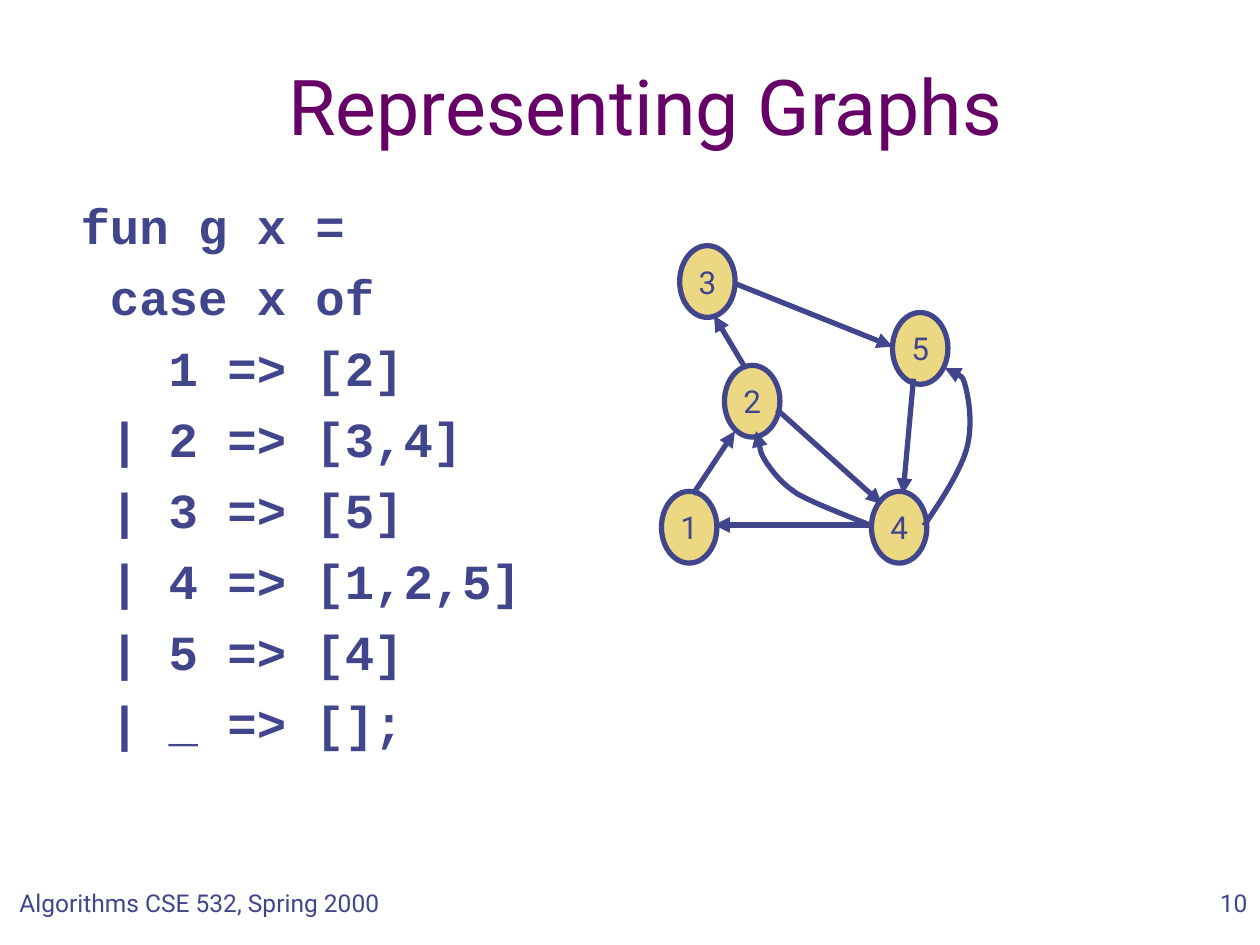
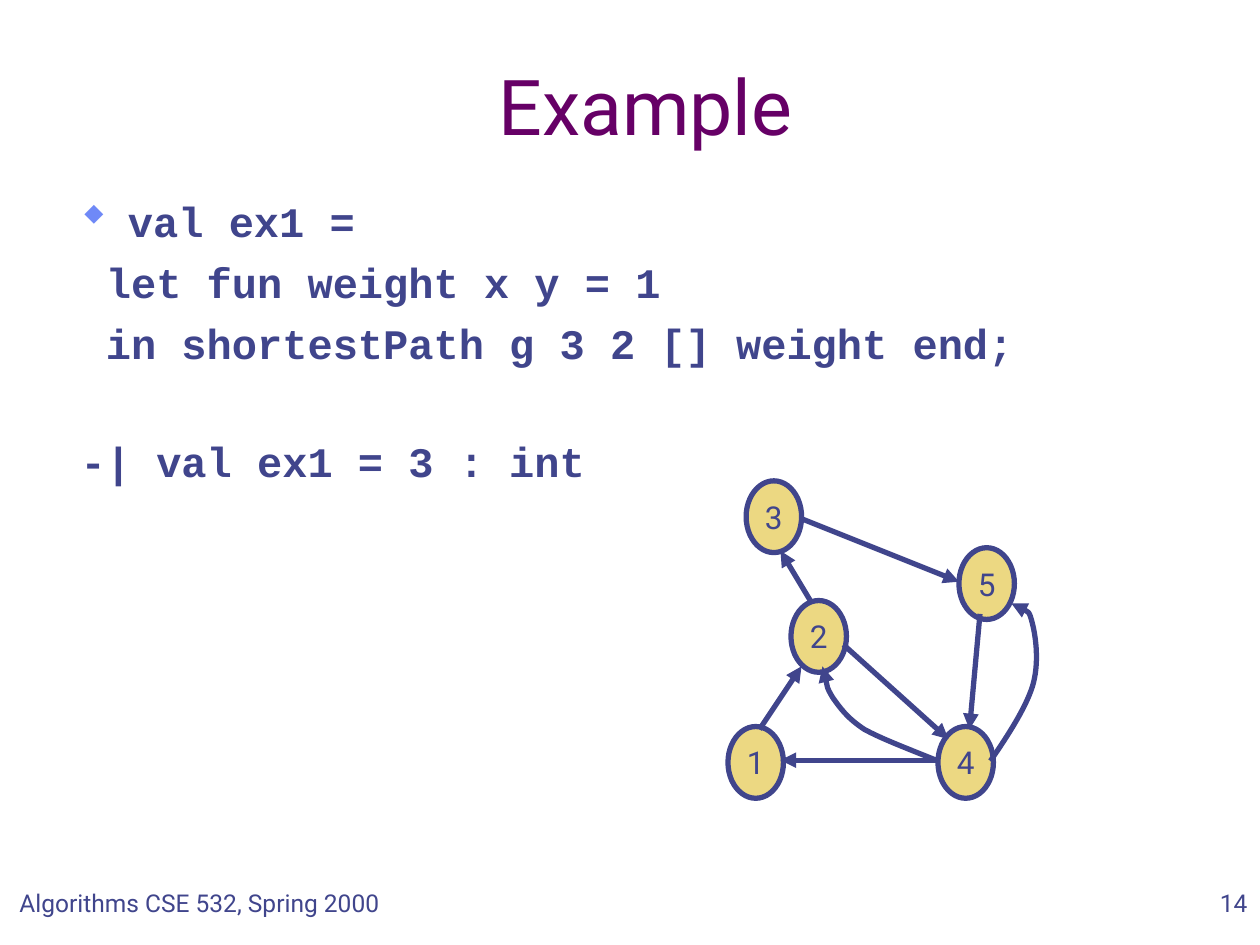
from pptx import Presentation
from pptx.dml.color import RGBColor
from pptx.enum.shapes import MSO_CONNECTOR as Link, MSO_SHAPE as Form
from pptx.enum.text import MSO_ANCHOR as Anchor, MSO_AUTO_SIZE as Fit, PP_ALIGN as Align
from pptx.oxml.ns import qn
from pptx.oxml.xmlchemy import OxmlElement as Tag
from pptx.util import Pt

INK = RGBColor(0x40, 0x45, 0x8C)
PLUM = RGBColor(0x66, 0x00, 0x66)
GOLD = RGBColor(0xEC, 0xD8, 0x82)
SKY = RGBColor(0x6F, 0x89, 0xF7)
SANS, MONO = "Roboto", "Courier New"
COURSE = "Algorithms CSE 532, Spring 2000"

NODE = (31.7, 41)
NODES = {"3": (10.4, 0), "2": (36, 68.4), "1": (0, 140.4),
         "4": (120, 140.4), "5": (132, 38.2)}
EDGES = [
    ((120, 159.6), (30, 159.6)),
    ((18, 142), (42, 106)),
    ((48, 70), (30, 40)),
    ((42, 21.6), (132, 57.6)),
    ((144, 76), (138, 142)),
    ((66, 93.6), (126, 147.6)),
]
CURVES = [
    [(150, 160), (160, 145.5), (170, 130), (174, 117.5), (178, 104.5),
     (176, 89.5), (174, 81.5), (172, 73.5), (167, 71.5), (162, 70)],
    [(120, 160), (104, 153.5), (88, 147.5), (78, 142), (68, 135.5),
     (64, 129.5), (60, 124), (56, 117.5), (55, 108.5), (54, 106)],
]

GRAPH_CODE = [
    "fun g x =",
    " case x of",
    "   1 => [2]",
    " | 2 => [3,4]",
    " | 3 => [5]",
    " | 4 => [1,2,5]",
    " | 5 => [4]",
    " | _ => [];",
]
PATH_CODE = [
    "val ex1 =",
    " let fun weight x y = 1",
    " in shortestPath g 3 2 [] weight end;",
    "-| val ex1 = 3 : int",
]


def write(para, text, size, face=SANS, color=INK, bold=False):
    run = para.add_run()
    run.text = text
    font = run.font
    font.size, font.name, font.bold = Pt(size), face, bold
    font.color.rgb = color


def place(shape, box):
    shape.left, shape.top, shape.width, shape.height = map(Pt, box)


def text_box(slide, box):
    shape = slide.shapes.add_textbox(*map(Pt, box))
    frame = shape.text_frame
    frame.word_wrap = True
    return frame


def add_title(slide, text, box):
    title = slide.shapes.title
    place(title, box)
    frame = title.text_frame
    frame.auto_size = Fit.NONE
    frame.vertical_anchor = Anchor.BOTTOM
    para = frame.paragraphs[0]
    para.alignment = Align.CENTER
    write(para, text, 44, color=PLUM)


def add_foot(slide, text, box, align):
    para = text_box(slide, box).paragraphs[0]
    para.alignment = align
    write(para, text, 14)


def add_bullet(para):
    props = para._p.get_or_add_pPr()
    props.set("marL", str(Pt(27)))
    props.set("indent", str(-Pt(27)))
    tint = Tag("a:buClr")
    shade = Tag("a:srgbClr")
    shade.set("val", str(SKY))
    tint.append(shade)
    scale = Tag("a:buSzPct")
    scale.set("val", "110000")
    face = Tag("a:buFont")
    face.set("typeface", "Wingdings")
    face.set("pitchFamily", "2")
    face.set("charset", "2")
    mark = Tag("a:buChar")
    mark.set("char", "w")
    props.extend([tint, scale, face, mark])


def add_code(slide, lines, box, size, gap, breaks=()):
    frame = text_box(slide, box)
    for i, line in enumerate(lines):
        para = frame.paragraphs[0] if i == 0 else frame.add_paragraph()
        if i:
            para.space_before = Pt(2 * gap + size * 1.13 if i in breaks else gap)
        write(para, line, size, MONO, bold=True)
    return frame


def style_edge(shape):
    shape.line.color.rgb = INK
    shape.line.width = Pt(3)
    tip = Tag("a:tailEnd")
    tip.set("type", "triangle")
    shape.line._get_or_add_ln().append(tip)


def add_edge(group, start, end):
    edge = group.shapes.add_connector(Link.STRAIGHT, *start, *end)
    style_edge(edge)
    edge._element.spPr.append(Tag("a:effectLst"))


def add_curve(group, points):
    pen = group.shapes.build_freeform(*points[0])
    pen.add_line_segments(points[1:], close=False)
    curve = pen.convert_to_shape()
    steps = list(curve._element.iter(qn("a:lnTo")))
    for i in range(0, len(steps), 3):
        bend = Tag("a:cubicBezTo")
        steps[i].addprevious(bend)
        for step in steps[i:i + 3]:
            bend.append(step[0])
            step.getparent().remove(step)
    curve.fill.background()
    style_edge(curve)
    curve.shadow.inherit = False


def add_node(group, name, spot):
    node = group.shapes.add_shape(Form.OVAL, *spot, *map(Pt, NODE))
    node.shadow.inherit = False
    node.fill.solid()
    node.fill.fore_color.rgb = GOLD
    node.line.color.rgb = INK
    node.line.width = Pt(3)
    frame = node.text_frame
    frame.word_wrap = False
    frame.vertical_anchor = Anchor.MIDDLE
    para = frame.paragraphs[0]
    para.alignment = Align.CENTER
    write(para, name, 18)


def add_graph(slide, left, top):
    def spot(point):
        return Pt(left + point[0]), Pt(top + point[1])

    group = slide.shapes.add_group_shape()
    for name, point in NODES.items():
        add_node(group, name, spot(point))
    for start, end in EDGES:
        add_edge(group, spot(start), spot(end))
    for points in CURVES:
        add_curve(group, [spot(point) for point in points])


def add_page(deck, title, number):
    slide = deck.slides.add_slide(deck.slide_layouts[5])
    add_title(slide, title, (48, 30, 642, 60))
    add_foot(slide, COURSE, (0, 504, 228, 36), Align.CENTER)
    add_foot(slide, number, (570, 504, 150, 36), Align.RIGHT)
    return slide


def main():
    deck = Presentation()
    deck.slide_width, deck.slide_height = Pt(720), Pt(540)

    slide = add_page(deck, "Representing Graphs", "10")
    add_code(slide, GRAPH_CODE, (39, 108, 279, 360), 28, 7)
    add_graph(slide, 378, 140.4)

    slide = add_page(deck, "Example", "14")
    code = add_code(slide, PATH_CODE, (39, 108, 555, 216), 24, 6, breaks=(3,))
    add_bullet(code.paragraphs[0])
    add_graph(slide, 416, 274.8)

    deck.save("out.pptx")


if __name__ == "__main__":
    main()
